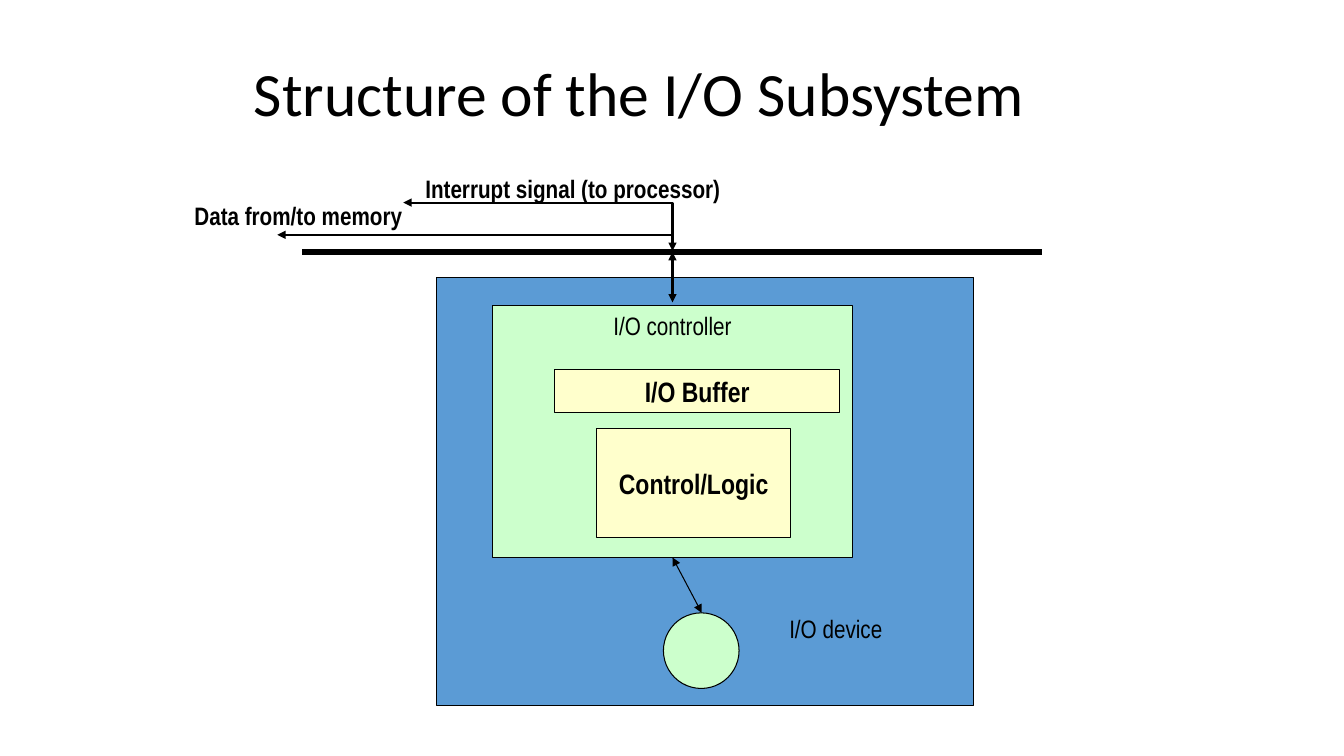
from dataclasses import dataclass

from pptx import Presentation
from pptx.dml.color import RGBColor
from pptx.enum.shapes import MSO_CONNECTOR, MSO_SHAPE
from pptx.enum.text import MSO_ANCHOR, PP_ALIGN
from pptx.oxml.ns import qn
from pptx.util import Inches, Pt

RECTANGLE, OVAL = MSO_SHAPE.RECTANGLE, MSO_SHAPE.OVAL
STRAIGHT, ELBOW = MSO_CONNECTOR.STRAIGHT, MSO_CONNECTOR.ELBOW
TOP, MIDDLE = MSO_ANCHOR.TOP, MSO_ANCHOR.MIDDLE
LEFT, CENTER = PP_ALIGN.LEFT, PP_ALIGN.CENTER


@dataclass(frozen=True)
class Theme:
    ink: RGBColor = RGBColor(0x00, 0x00, 0x00)
    blue: RGBColor = RGBColor(0x5B, 0x9B, 0xD5)
    green: RGBColor = RGBColor(0xCC, 0xFF, 0xCC)
    yellow: RGBColor = RGBColor(0xFF, 0xFF, 0xCC)
    title_font: str = "Calibri"
    label_font: str = "Arial Narrow"
    title_size: int = 44
    block_size: int = 20
    label_size: int = 18
    outline: float = 0.75
    signal: float = 1.5
    bus: float = 4


theme = Theme()


def write(box, text, size, bold=False, align=LEFT, anchor=TOP, font=theme.label_font):
    """Put one unwrapped line of text in a box and format it."""
    frame = box.text_frame
    frame.word_wrap = False
    frame.vertical_anchor = anchor
    frame.text = text
    para = frame.paragraphs[0]
    para.alignment = align
    span = para.runs[0]
    span.font.name = font
    span.font.size = Pt(size)
    span.font.bold = bold
    span.font.color.rgb = theme.ink


deck = Presentation()
deck.slide_width, deck.slide_height = Inches(13.33), Inches(7.5)
page = deck.slides.add_slide(deck.slide_layouts[6])

# Title
title = page.shapes.add_textbox(Inches(2.42), Inches(0.5), Inches(8.5), Inches(0.92))
write(title, "Structure of the I/O Subsystem", theme.title_size,
      anchor=MIDDLE, font=theme.title_font)
title.text_frame.word_wrap = True
title.text_frame.paragraphs[0].line_spacing = 0.9

# Nested blocks: device, controller, buffer, logic and the device's circle
blocks = [
    (RECTANGLE, 4.33, 2.75, 5.33, 4.25, theme.blue, "", None, None),
    (RECTANGLE, 4.88, 3.03, 3.58, 2.5, theme.green, "I/O controller", theme.label_size, TOP),
    (RECTANGLE, 5.5, 3.67, 2.83, 0.42, theme.yellow, "I/O Buffer", theme.block_size, MIDDLE),
    (RECTANGLE, 5.92, 4.25, 1.92, 1.08, theme.yellow, "Control/Logic", theme.block_size, MIDDLE),
    (OVAL, 6.58, 6.08, 0.75, 0.75, theme.green, "", None, None),
]
for kind, left, top, width, height, fill, text, size, anchor in blocks:
    block = page.shapes.add_shape(kind, Inches(left), Inches(top), Inches(width), Inches(height))
    block.shadow.inherit = False
    block.fill.solid()
    block.fill.fore_color.rgb = fill
    block.line.color.rgb = theme.ink
    block.line.width = Pt(theme.outline)
    if text:
        write(block, text, size, bold=size == theme.block_size, align=CENTER, anchor=anchor)

# Bus and signals; an elbow runs across and then down
both_ends = ("headEnd", "tailEnd")
links = [
    (STRAIGHT, 6.96, 6.08, 6.67, 5.53, theme.outline, both_ends),
    (STRAIGHT, 3, 2.5, 10.33, 2.5, theme.bus, ()),
    (STRAIGHT, 6.67, 3, 6.67, 2.5, theme.signal, both_ends),
    (ELBOW, 4, 2.01, 6.67, 2.33, theme.signal, ("headEnd",)),
    (ELBOW, 2.75, 2.33, 6.67, 2.49, theme.signal, both_ends),
]
for kind, x1, y1, x2, y2, weight, arrows in links:
    link = page.shapes.add_connector(kind, Inches(x1), Inches(y1), Inches(x2), Inches(y2))
    link.line.color.rgb = theme.ink
    link.line.width = Pt(weight)
    properties = link._element.spPr
    if kind == ELBOW:
        properties.find(qn("a:prstGeom")).set("prst", "bentConnector2")
    outline = properties.find(qn("a:ln"))
    for end in arrows:
        arrow = outline.makeelement(qn(f"a:{end}"), {"type": "triangle"})
        outline.append(arrow)
    properties.append(properties.makeelement(qn("a:effectLst"), {}))

# Free labels
labels = [
    (7.73, 6.04, 1.14, "I/O device", False),
    (1.83, 1.94, 2.26, "Data from/to memory", True),
    (4.12, 1.67, 3.13, "Interrupt signal (to processor)", True),
]
for left, top, width, text, bold in labels:
    label = page.shapes.add_textbox(Inches(left), Inches(top), Inches(width), Inches(0.4))
    write(label, text, theme.label_size, bold)

deck.save("out.pptx")
